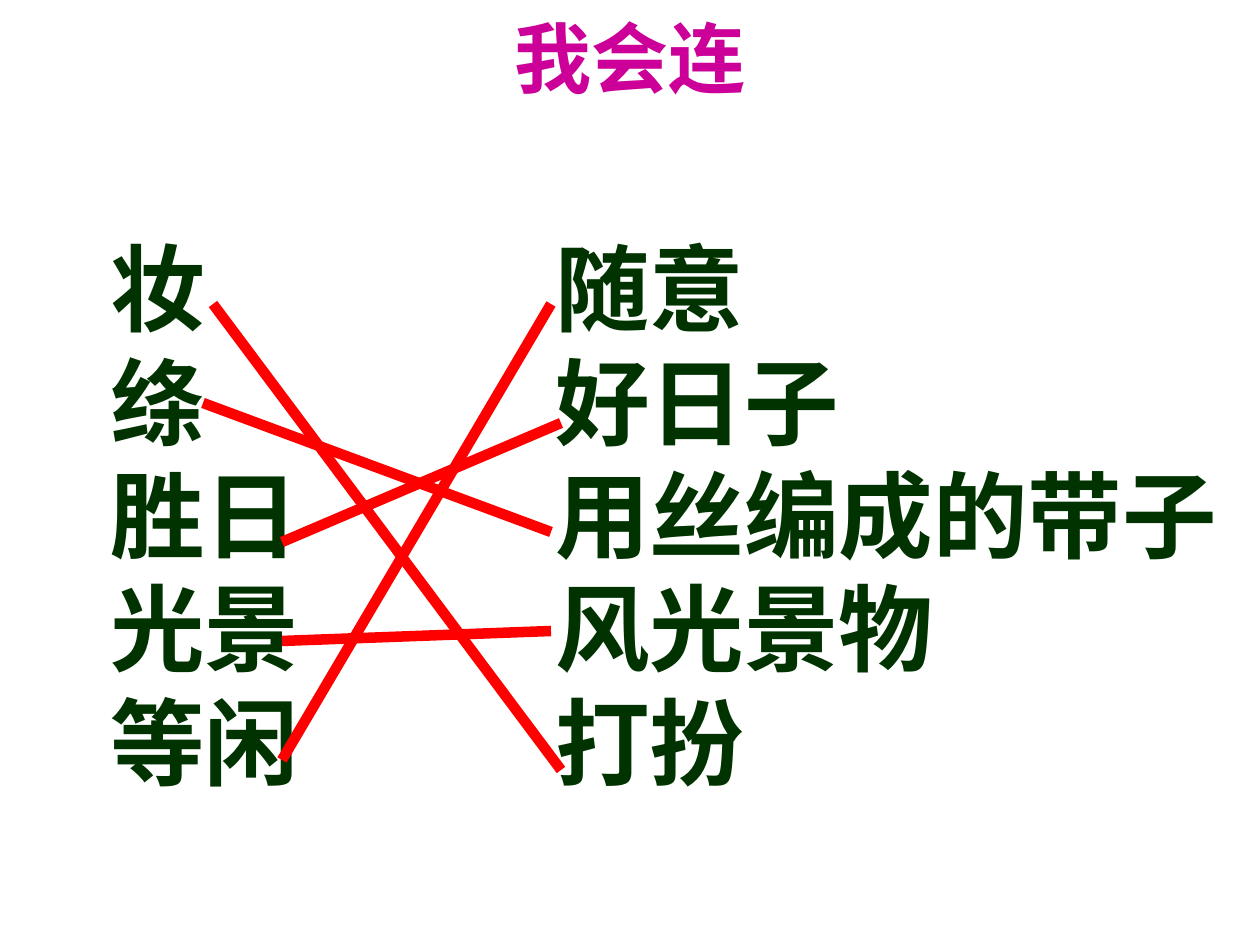
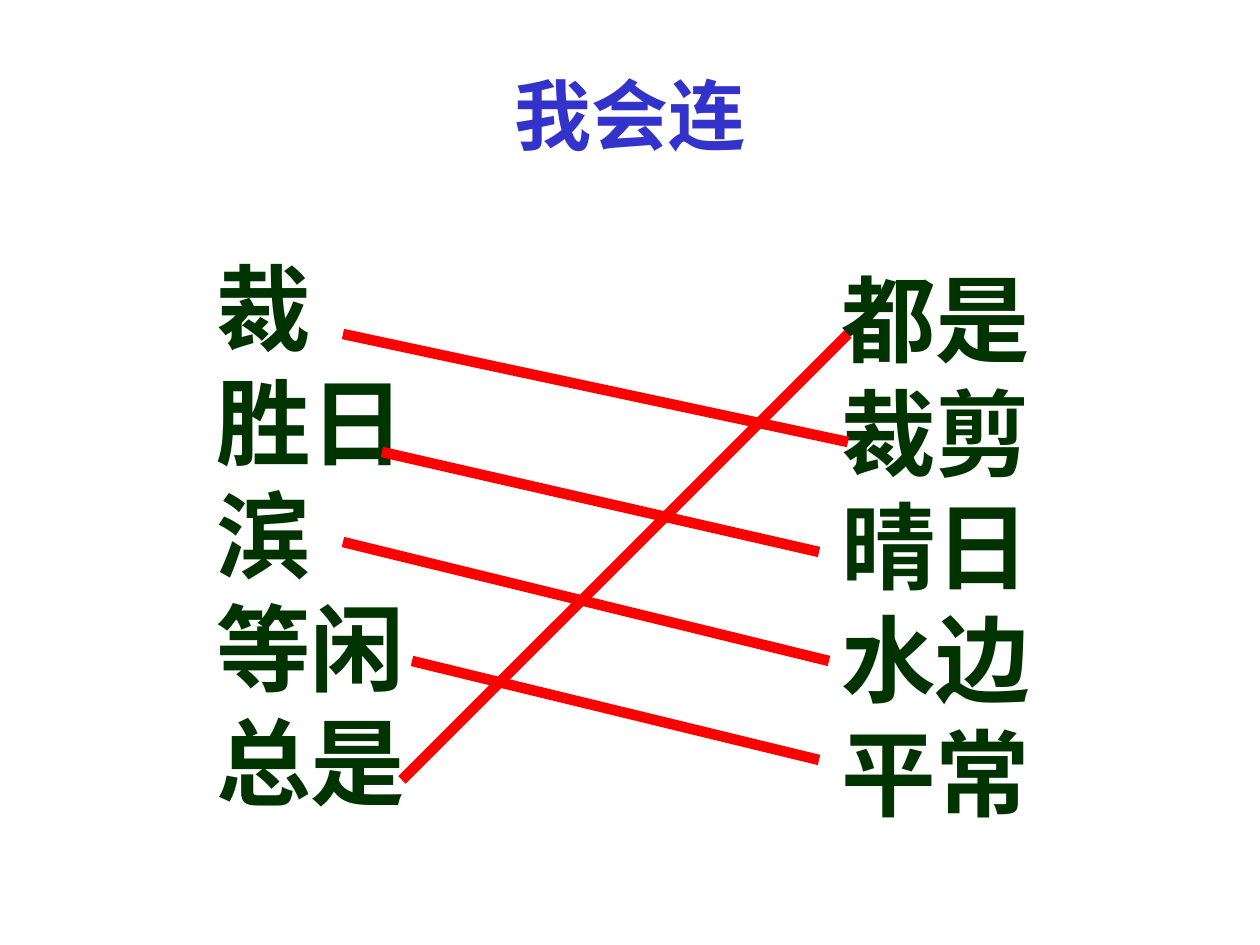
from lxml.etree import SubElement
from pptx import Presentation
from pptx.dml.color import RGBColor
from pptx.enum.shapes import MSO_CONNECTOR
from pptx.enum.text import MSO_ANCHOR, PP_ALIGN
from pptx.oxml.ns import qn
from pptx.util import Pt

PX = 914400 / 126
PINK = RGBColor(0xCC, 0x00, 0x99)
BLUE = RGBColor(0x33, 0x33, 0xCC)
GREEN = RGBColor(0x00, 0x33, 0x00)
RED = RGBColor(0xFF, 0x00, 0x00)
FACE = "Times New Roman"
HEAD = "我会连"

# Columns: left, top, width, words. Links: x and y of the start, x and y of the end.
SLIDES = [
    dict(
        color=PINK, top=26, low=102,
        columns=[
            (98, 224, 214, ["妆", "绦", "胜日", "光景", "等闲"]),
            (543, 224, 687, ["随意", "好日子", "用丝编成的带子", "风光景物", "打扮"]),
        ],
        links=[
            (213, 304, 561, 770),
            (203, 403, 551, 532),
            (282, 542, 561, 423),
            (282, 641, 551, 631),
            (282, 760, 551, 304),
        ],
    ),
    dict(
        color=BLUE, top=35, low=6,
        columns=[
            (204, 244, 214, ["裁", "胜日", "滨", "等闲", "总是"]),
            (829, 255, 214, ["都是", "裁剪", "晴日", "水边", "平常"]),
        ],
        links=[
            (343, 334, 848, 442),
            (382, 452, 819, 552),
            (343, 542, 829, 661),
            (412, 661, 819, 760),
            (402, 780, 848, 334),
        ],
    ),
]


def emu(*sizes):
    return [round(size * PX) for size in sizes]


def write(slide, box, lines, *, size, color, align=PP_ALIGN.LEFT,
          anchor=MSO_ANCHOR.TOP, wrap=False, low=6):
    """Add bold lines of text; low is the bottom inset."""
    frame = slide.shapes.add_textbox(*emu(*box)).text_frame
    frame.word_wrap = wrap
    frame.vertical_anchor = anchor
    frame.margin_bottom = emu(low)[0]
    frame.text = "\n".join(lines)
    for para in frame.paragraphs:
        para.alignment = align
        for run in para.runs:
            font = run.font
            font.name, font.size, font.bold = FACE, Pt(size), True
            font.color.rgb = color


def link(slide, ends):
    line = slide.shapes.add_connector(MSO_CONNECTOR.STRAIGHT, *emu(*ends))
    line.line.color.rgb = RED
    line.line.width = Pt(6)
    SubElement(line._element.spPr, qn("a:effectLst"))


def main():
    deck = Presentation()
    deck.slide_width, deck.slide_height = emu(1260, 945)
    for item in SLIDES:
        slide = deck.slides.add_slide(deck.slide_layouts[6])
        write(slide, (95, item["top"], 1071, 158), [HEAD], size=44,
              color=item["color"], align=PP_ALIGN.CENTER,
              anchor=MSO_ANCHOR.MIDDLE, wrap=True, low=item["low"])
        for left, top, width, words in item["columns"]:
            write(slide, (left, top, width, 580), words, size=54, color=GREEN)
        for ends in item["links"]:
            link(slide, ends)
    deck.save("out.pptx")


if __name__ == "__main__":
    main()
